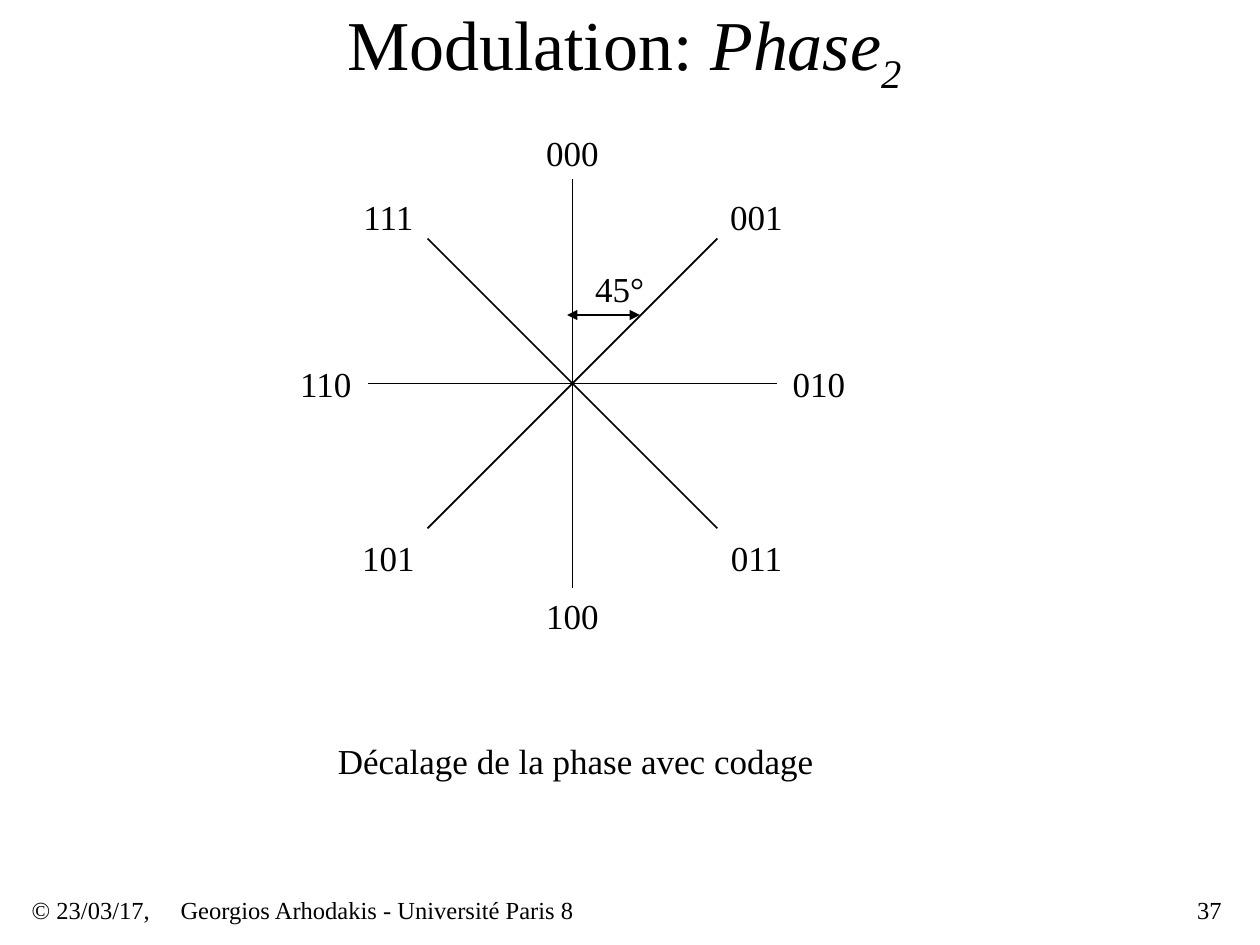
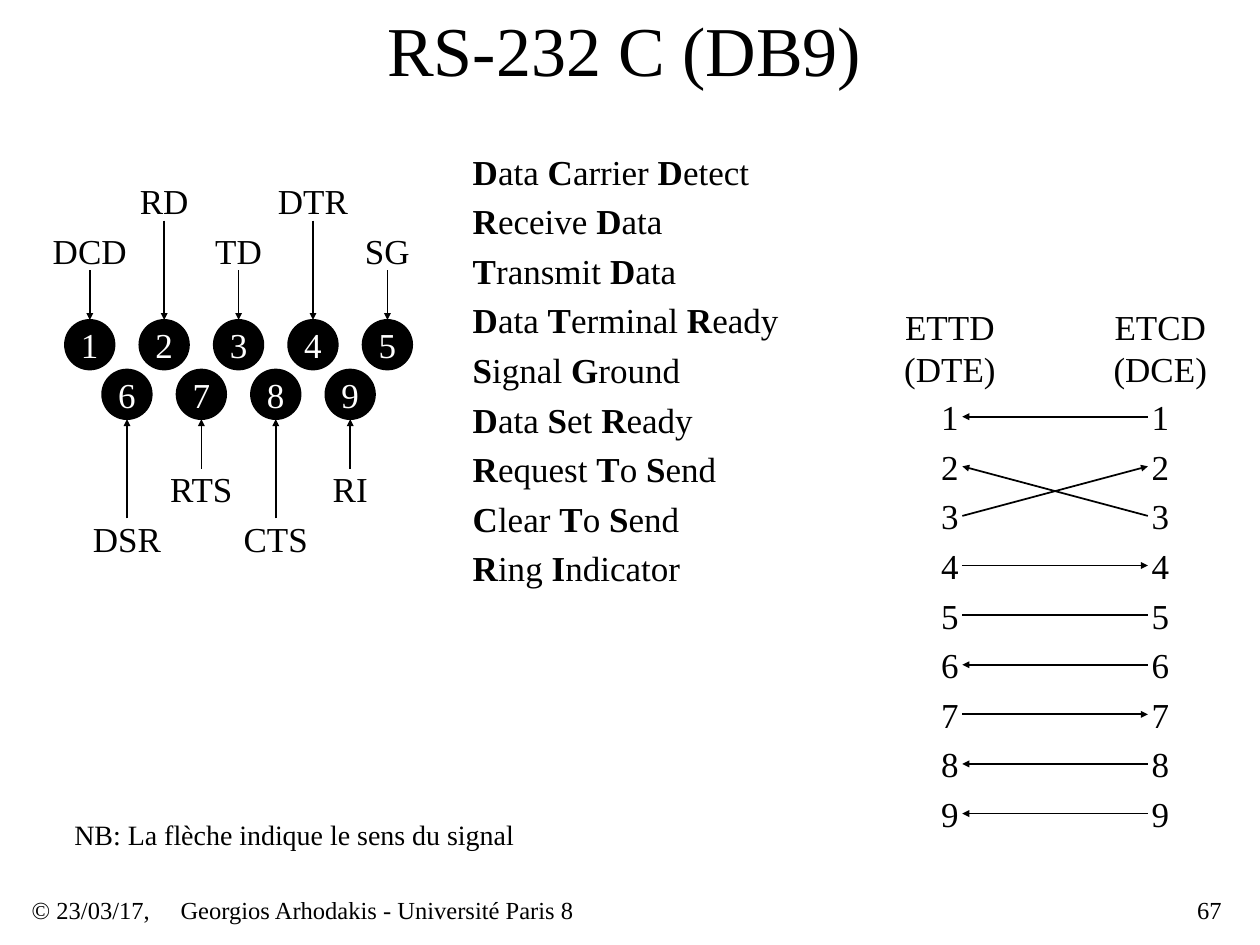
from math import cos, radians, sin

from lxml import etree
from pptx import Presentation
from pptx.dml.color import RGBColor
from pptx.enum import shapes, text
from pptx.oxml import ns
from pptx.util import Cm, Pt

BLACK = RGBColor(0, 0, 0)
WHITE = RGBColor(255, 255, 255)
FONT = "Times New Roman"
LEFT, CENTER, RIGHT = text.PP_ALIGN.LEFT, text.PP_ALIGN.CENTER, text.PP_ALIGN.RIGHT
TOP_SIDE, LEFT_SIDE, BOTTOM_SIDE, RIGHT_SIDE = range(4)

# Pin number = position; name, meaning, distance of the label from the pin (cm)
SIGNALS = [
    ("DCD", "Data Carrier Detect", 1),
    ("RD", "Receive Data", 2),
    ("TD", "Transmit Data", 1),
    ("DTR", "Data Terminal Ready", 2),
    ("SG", "Signal Ground", 1),
    ("DSR", "Data Set Ready", 2),
    ("RTS", "Request To Send", 1),
    ("CTS", "Clear To Send", 2),
    ("RI", "Ring Indicator", 1),
]
# DTE pin, DCE pin, direction of the signal
WIRES = [(1, 1, "<"), (2, 3, "<"), (3, 2, ">"), (4, 4, ">"), (5, 5, "-"),
         (6, 6, "<"), (7, 7, ">"), (8, 8, "<"), (9, 9, "<")]


def write(sp, content, size=20, color=BLACK, align=LEFT, margins=(0, 0), wrap=True):
    """Fill a shape with a string or a list of (string, format) runs."""
    tf = sp.text_frame
    tf.auto_size = text.MSO_AUTO_SIZE.NONE
    tf.word_wrap = wrap
    tf.vertical_anchor = text.MSO_ANCHOR.MIDDLE
    tf.margin_left = tf.margin_right = Cm(margins[0])
    tf.margin_top = tf.margin_bottom = Cm(margins[1])
    p = tf.paragraphs[0]
    p.alignment = align
    runs = [(content, {})] if isinstance(content, str) else content
    for string, style in runs:
        r = p.add_run()
        r.text = string
        r.font.name, r.font.size = FONT, Pt(size)
        r.font.color.rgb = color
        r.font.bold = style.get("bold", False)
        r.font.italic = style.get("italic", False)
        if "baseline" in style:
            r._r.get_or_add_rPr().set("baseline", str(style["baseline"] * 1000))


def bold_initials(phrase):
    words = phrase.split()
    runs = []
    for i, word in enumerate(words):
        gap = " " if i < len(words) - 1 else ""
        runs += [(word[0], {"bold": True}), (word[1:] + gap, {})]
    return runs


class Deck:
    def __init__(self):
        self.prs = Presentation()
        self.prs.slide_width, self.prs.slide_height = Cm(25.4), Cm(19.05)
        self.s = None

    def slide(self, title, number):
        self.s = self.prs.slides.add_slide(self.prs.slide_layouts[5])
        sp = self.s.shapes.title
        sp.left, sp.top, sp.width, sp.height = Cm(2.74), Cm(0), Cm(19.69), Cm(1.96)
        write(sp, title, size=40, align=CENTER, margins=(0.25, 0.13))
        footer = [
            (0.51, 5, "© 23/03/17,", LEFT),
            (3.51, 13, "Georgios Arhodakis - Université Paris 8", LEFT),
            (19.48, 5.28, str(number), RIGHT),
        ]
        for x, w, string, align in footer:
            self.label(x, 17.98, w, 0.71, string, size=14, align=align,
                       margins=(0.13, 0.05))

    def label(self, x, y, w, h, content, **style):
        sp = self.s.shapes.add_textbox(Cm(x), Cm(y), Cm(w), Cm(h))
        write(sp, content, **style)
        return sp

    def pin(self, x, y, number):
        sp = self.s.shapes.add_shape(shapes.MSO_SHAPE.OVAL, Cm(x), Cm(y), Cm(1), Cm(1))
        sp.shadow.inherit = False
        sp.fill.solid()
        sp.fill.fore_color.rgb = BLACK
        sp.line.color.rgb = BLACK
        sp.line.width = Pt(1)
        write(sp, str(number), color=WHITE, align=CENTER)

    def line(self, x1, y1, x2, y2, ends=(), arrow="med"):
        """Draw a line; ends lists "headEnd" (start) and "tailEnd" (finish)."""
        c = self.s.shapes.add_connector(
            shapes.MSO_CONNECTOR.STRAIGHT, Cm(x1), Cm(y1), Cm(x2), Cm(y2))
        c.line.color.rgb = BLACK
        c.line.width = Pt(1)
        ln = c.line._get_or_add_ln()
        for end in ends:
            etree.SubElement(ln, ns.qn("a:" + end), type="triangle", w=arrow, len=arrow)
        etree.SubElement(c._element.spPr, ns.qn("a:effectLst"))
        return c


def phase_slide(deck):
    deck.slide([("Modulation: ", {}), ("Phase", {"italic": True}),
                ("2", {"italic": True, "baseline": -25})], 37)
    deck.label(6.56, 14.78, 10.1, 1.09, "Décalage de la phase avec codage",
               margins=(0.25, 0.13))

    cx, cy, radius = 11.54, 7.73, 4.13
    for angle in range(0, 180, 45):
        dx, dy = radius * sin(radians(angle)), radius * cos(radians(angle))
        deck.line(cx - dx, cy + dy, cx + dx, cy - dy)

    w, h = 1.7, 1.09
    code_offsets = [(0, -4.65), (3.71, -3.37), (4.97, 0), (3.71, 3.51),
                    (0, 4.67), (-3.71, 3.51), (-4.97, 0), (-3.71, -3.37)]
    for code, (dx, dy) in enumerate(code_offsets):
        deck.label(cx + dx - w / 2, cy + dy - h / 2, w, h, f"{code:03b}",
                   align=CENTER, margins=(0.25, 0.13))

    deck.line(11.43, 6.35, 12.9, 6.35, ends=("headEnd", "tailEnd"))
    deck.label(11.63, 5.28, 1.73, h, "45°", align=CENTER, margins=(0.25, 0.13))


def draw_connector_pins(deck):
    pitch, label_h = 1.5, 0.8
    for i, (name, _, distance) in enumerate(SIGNALS):
        upper = i < 5
        x = 1.31 + pitch * (i if upper else i - 4.5)
        y = 6.45 if upper else 7.45
        deck.pin(x, y, i + 1)
        label_y = y - distance - label_h if upper else y + 1 + distance
        sp = deck.label(x - 0.25, label_y, pitch, label_h, name,
                        align=CENTER, wrap=False)
        start, end = (y - distance, y) if upper else (label_y, y + 1)
        c = deck.line(x + 0.5, start, x + 0.5, end, ends=["tailEnd"], arrow="sm")
        c.begin_connect(sp, BOTTOM_SIDE if upper else TOP_SIDE)


def draw_wiring(deck):
    columns = []
    for x, heading in ((19.15, "ETTD (DTE)"), (23.39, "ETCD (DCE)")):
        deck.label(x - 1.17, 6.15, 2.34, 1.7, heading, align=CENTER)
        columns.append([deck.label(x - 0.25, 7 + n, 0.5, 0.8, str(n), align=CENTER)
                        for n in range(1, 10)])
    dte, dce = columns
    for left, right, direction in WIRES:
        ends = [(dte[left - 1], RIGHT_SIDE), (dce[right - 1], LEFT_SIDE)]
        if direction == "<":
            ends.reverse()
        c = deck.line(0, 0, 1, 1, ends=[] if direction == "-" else ["tailEnd"],
                      arrow="sm")
        c.begin_connect(*ends[0])
        c.end_connect(*ends[1])


def db9_slide(deck):
    deck.slide("RS-232 C (DB9)", 67)
    draw_connector_pins(deck)
    for i, (_, meaning, _) in enumerate(SIGNALS):
        deck.label(9.53, 3.05 + i, 6.5, 0.8, bold_initials(meaning))
    draw_wiring(deck)
    deck.label(1.5, 16.48, 12.27, 0.69, "NB: La flèche indique le sens du signal",
               size=16)


def main():
    deck = Deck()
    phase_slide(deck)
    db9_slide(deck)
    deck.prs.save("out.pptx")


if __name__ == "__main__":
    main()
